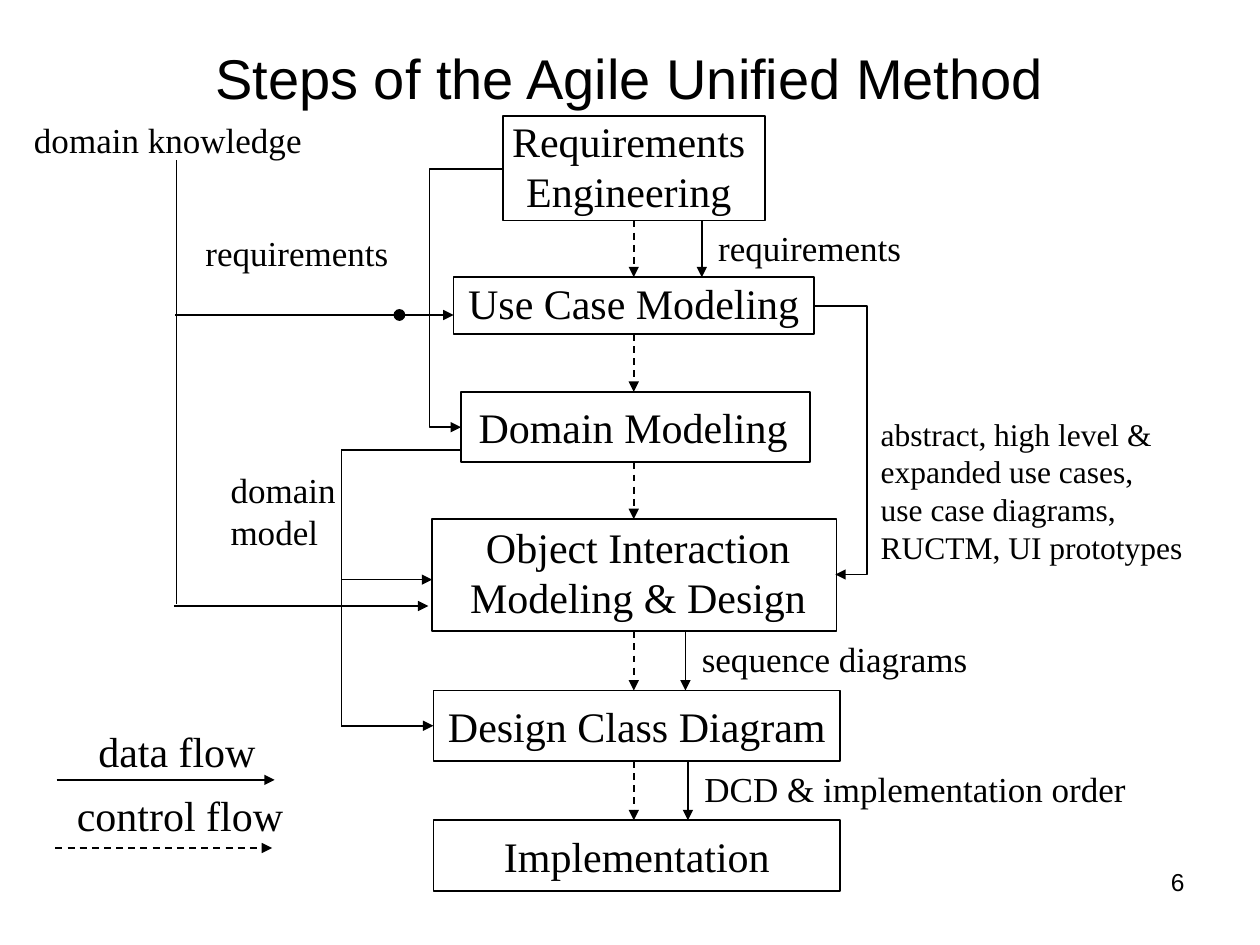
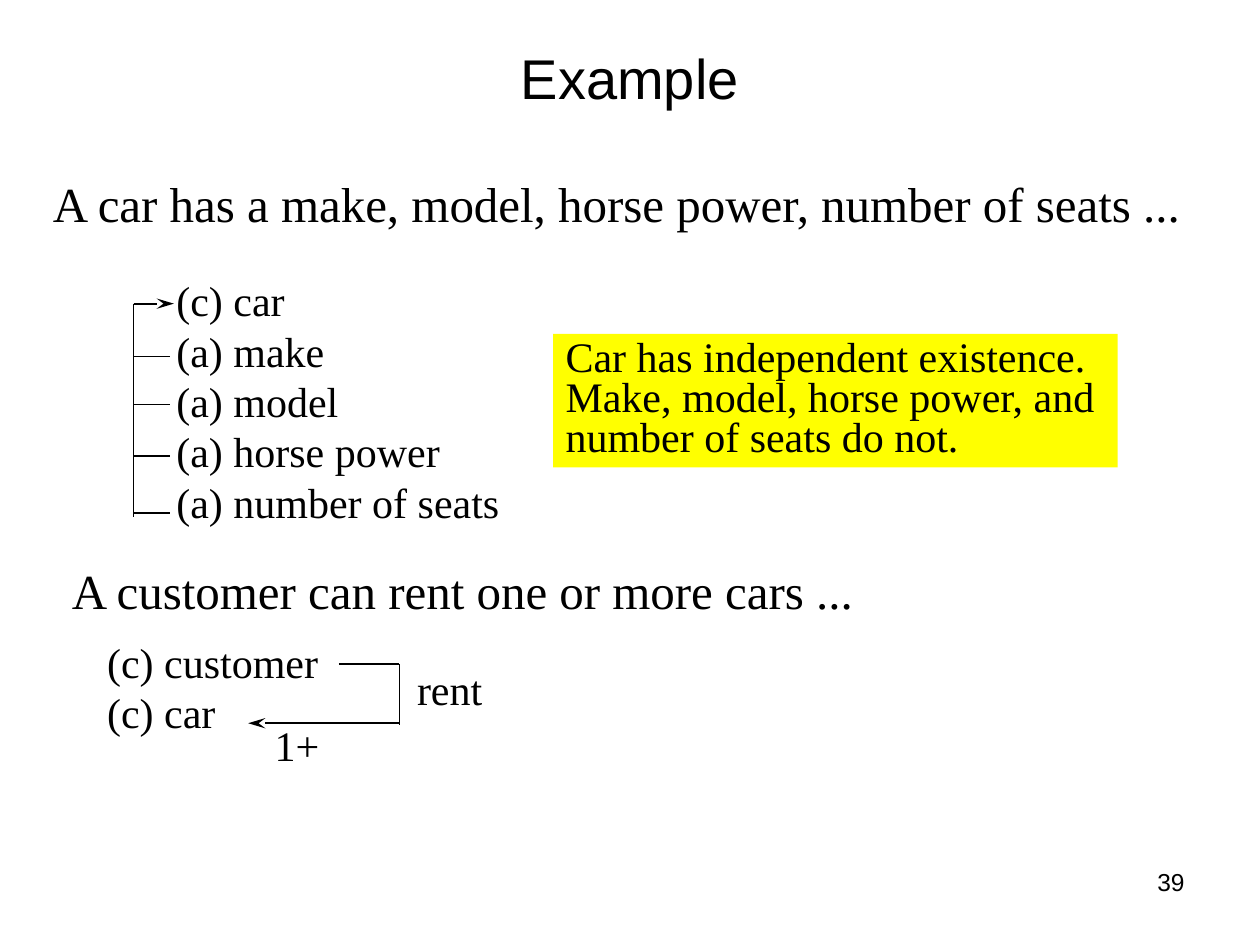
from dataclasses import dataclass
from itertools import pairwise

from lxml import etree
from pptx import Presentation
from pptx.dml.color import RGBColor
from pptx.enum.dml import MSO_LINE
from pptx.enum.shapes import MSO_CONNECTOR, MSO_SHAPE
from pptx.enum.text import MSO_ANCHOR, PP_ALIGN
from pptx.oxml.ns import qn
from pptx.util import Inches, Pt

RECT, OVAL = MSO_SHAPE.RECTANGLE, MSO_SHAPE.OVAL
STRAIGHT, ELBOW = MSO_CONNECTOR.STRAIGHT, MSO_CONNECTOR.ELBOW
LEFT, MID, RIGHT = PP_ALIGN.LEFT, PP_ALIGN.CENTER, PP_ALIGN.RIGHT
TOP, MIDDLE = MSO_ANCHOR.TOP, MSO_ANCHOR.MIDDLE
DASH = MSO_LINE.DASH

WIDE, HIGH = Inches(10), Inches(7.5)
CELL = WIDE / 10
SLACK = 0.1


@dataclass(frozen=True)
class Theme:
    ink: RGBColor = RGBColor(0, 0, 0)
    note: RGBColor = RGBColor(255, 255, 0)
    sans: str = "Arial"
    serif: str = "Times New Roman"
    title: int = 32
    lead: int = 28
    body: int = 24
    label: int = 20
    small: int = 18
    page: int = 14
    stroke: int = 1


THEME = Theme()


def grid(*cells):
    return [round(cell * CELL) for cell in cells]


def write(frame, text, size, font=THEME.serif, align=LEFT, space=None):
    lines = text.split("\n")
    for i, line in enumerate(lines):
        para = frame.add_paragraph() if i else frame.paragraphs[0]
        para.text = line
        para.alignment = align
        para.line_spacing = space
        para.font.size = Pt(size)
        para.font.name = font
        para.font.color.rgb = THEME.ink


def inset(frame, left=0, top=0, right=0, bottom=0):
    frame.margin_left, frame.margin_top, frame.margin_right, frame.margin_bottom = grid(
        left, top, right, bottom)


class Area:
    def __init__(self, slide, left, top):
        self.shapes = slide.shapes
        self.left, self.top = left, top

    def place(self, x, y):
        return grid(self.left + x, self.top + y)

    def label(self, x, y, wide, high, text, size):
        box = self.shapes.add_textbox(*self.place(x, y), *grid(wide + SLACK, high))
        frame = box.text_frame
        frame.word_wrap = True
        inset(frame)
        write(frame, text, size)

    def panel(self, x, y, wide, high, text, align):
        box = self.shapes.add_textbox(*self.place(x, y), *grid(wide, high))
        box.text_frame.word_wrap = True
        inset(box.text_frame, 0.1, 0.05, 0.1, 0.05)
        box.text_frame.vertical_anchor = MIDDLE if align == MID else TOP
        size = THEME.title if align == MID else THEME.page
        write(box.text_frame, text, size, THEME.sans, align)

    def shape(self, kind, x, y, wide, high, fill=None, edge=True):
        form = self.shapes.add_shape(kind, *self.place(x, y), *grid(wide, high))
        form.shadow.inherit = False
        if fill is None:
            form.fill.background()
        else:
            form.fill.solid()
            form.fill.fore_color.rgb = fill
        if edge:
            form.line.color.rgb = THEME.ink
            form.line.width = Pt(THEME.stroke)
        else:
            form.line.fill.background()
        return form

    def line(self, x1, y1, x2, y2, tip=None, size="med", dash=False, bend=None):
        kind = STRAIGHT if bend is None else ELBOW
        link = self.shapes.add_connector(kind, *self.place(x1, y1), *self.place(x2, y2))
        link.line.color.rgb = THEME.ink
        link.line.width = Pt(THEME.stroke)
        if dash:
            link.line.dash_style = DASH
        props = link.element.spPr
        if tip:
            etree.SubElement(props.find(qn("a:ln")), qn("a:tailEnd"), type=tip, len=size)
        if bend is not None:
            share = round((bend - x1) / (x2 - x1) * 100000)
            guides = props.find(qn("a:prstGeom")).get_or_add_avLst()
            etree.SubElement(guides, qn("a:gd"), name="adj1", fmla=f"val {share}")
        etree.SubElement(props, qn("a:effectLst"))

    def arrow(self, *ends, **style):
        self.line(*ends, tip="triangle", **style)

    def barb(self, *ends):
        self.line(*ends, tip="stealth", size="lg")


def start(deck, title, page):
    slide = deck.slides.add_slide(deck.slide_layouts[6])
    area = Area(slide, 0.5, 0.3)
    area.panel(0, 0, 9, 0.62, title, MID)
    area.panel(6.67, 6.53, 2.33, 0.52, page, RIGHT)
    return slide


def steps(area):
    rows = [
        ("Requirements\nEngineering", 0.56, 0, 2.08, 0.83, -0.04, -0.02),
        ("Use Case Modeling", 0.17, 1.28, 2.86, 0.45, 0, -0.02),
        ("Domain Modeling", 0.23, 2.19, 2.77, 0.56, -0.02, 0),
        ("Object Interaction\nModeling & Design", 0, 3.2, 3.21, 0.89, 0.03, -0.03),
        ("Design Class Diagram", 0.01, 4.56, 3.23, 0.56, 0, 0),
        ("Implementation", 0.01, 5.59, 3.23, 0.56, 0, 0),
    ]
    for text, x, y, wide, high, dx, dy in rows:
        frame = area.shape(RECT, x, y, wide, high).text_frame
        frame.word_wrap = True
        frame.vertical_anchor = MIDDLE
        inset(frame, *(max(0, 2 * d) for d in (dx, dy, -dx, -dy)))
        write(frame, text, THEME.body, align=MID)

    outputs = {
        0: (2.14, 1.45, "requirements"),
        3: (2.01, 2.11, "sequence diagrams"),
        4: (2.03, 3.35, "DCD & implementation order"),
    }
    for i, (step, after) in enumerate(pairwise(rows)):
        base, tip = step[2] + step[4], after[2]
        area.arrow(1.6, base, 1.6, tip, dash=True)
        if i in outputs:
            x, wide, text = outputs[i]
            area.arrow(x, base, x, tip)
            area.label(x + 0.13, base + 0.05, wide, 0.33, text, THEME.label)


def flows(area):
    area.arrow(3.03, 1.51, 3.2, 3.64, bend=3.45)
    area.arrow(0.56, 0.42, 0.23, 2.47, bend=-0.02)
    area.line(0.23, 2.65, -0.72, 2.65)
    area.line(-0.72, 2.65, -0.72, 4.84)
    area.arrow(-0.72, 4.84, 0.01, 4.84)
    area.arrow(-0.72, 3.68, 0, 3.68)
    area.label(-1.6, 2.8, 0.84, 0.67, "domain\nmodel", THEME.label)
    cases = "abstract, high level &\nexpanded use cases,\nuse case diagrams,\nRUCTM, UI prototypes"
    area.label(3.56, 2.37, 2.4, 1.2, cases, THEME.small)


def inputs(area):
    area.label(0, 0, 2.13, 0.33, "domain knowledge", THEME.label)
    area.label(1.36, 0.9, 1.45, 0.33, "requirements", THEME.label)
    area.line(1.13, 3.85, 1.13, 0.33)
    area.arrow(1.12, 1.56, 3.33, 1.56)
    area.arrow(1.11, 3.87, 3.13, 3.87)
    area.shape(OVAL, 2.86, 1.52, 0.08, 0.08, THEME.ink)


def legend(area):
    area.label(0.34, 0, 1.25, 0.4, "data flow", THEME.body)
    area.arrow(0.01, 0.43, 1.74, 0.43)
    area.label(0.17, 0.51, 1.64, 0.4, "control flow", THEME.body)
    area.arrow(0, 0.97, 1.72, 0.97, dash=True)


def traits(area):
    area.label(0, 0, 8.98, 0.47,
               "A car has a make, model, horse power, number of seats ...", THEME.lead)
    parts = "(c) car\n(a) make\n(a) model\n(a) horse power\n(a) number of seats"
    area.label(0.98, 0.8, 2.56, 2, parts, THEME.body)
    area.line(0.64, 1.03, 0.64, 2.72)
    area.barb(0.64, 1.03, 0.96, 1.03)
    for y in (1.45, 1.83, 2.24, 2.69):
        area.line(0.64, y, 0.93, y)


def note(area):
    form = area.shape(RECT, 0, 0, 4.48, 1.06, THEME.note, edge=False)
    frame = form.text_frame
    frame.word_wrap = True
    frame.vertical_anchor = TOP
    inset(frame, 0.1, 0.05, 0.1, 0.05)
    text = "Car has independent existence.\nMake, model, horse power, and\nnumber of seats do not."
    write(frame, text, THEME.body, space=0.8)


def rental(area):
    area.label(0, 0, 6.22, 0.47, "A customer can rent one or more cars ...", THEME.lead)
    area.label(0.28, 0.6, 1.68, 0.8, "(c) customer\n(c) car", THEME.body)
    area.line(2.12, 0.82, 2.6, 0.82)
    area.line(2.6, 0.82, 2.6, 1.3)
    area.barb(2.6, 1.29, 1.4, 1.29)
    area.label(2.74, 0.82, 0.52, 0.4, "rent", THEME.body)
    area.label(1.61, 1.26, 0.36, 0.4, "1+", THEME.body)


def main():
    deck = Presentation()
    deck.slide_width, deck.slide_height = WIDE, HIGH

    method = start(deck, "Steps of the Agile Unified Method", "6")
    steps(Area(method, 3.43, 0.92))
    flows(Area(method, 3.43, 0.92))
    inputs(Area(method, 0.27, 0.94))
    legend(Area(method, 0.44, 5.76))

    sample = start(deck, "Example", "39")
    traits(Area(sample, 0.42, 1.38))
    note(Area(sample, 4.39, 2.65))
    rental(Area(sample, 0.57, 4.45))

    deck.save("out.pptx")


if __name__ == "__main__":
    main()
